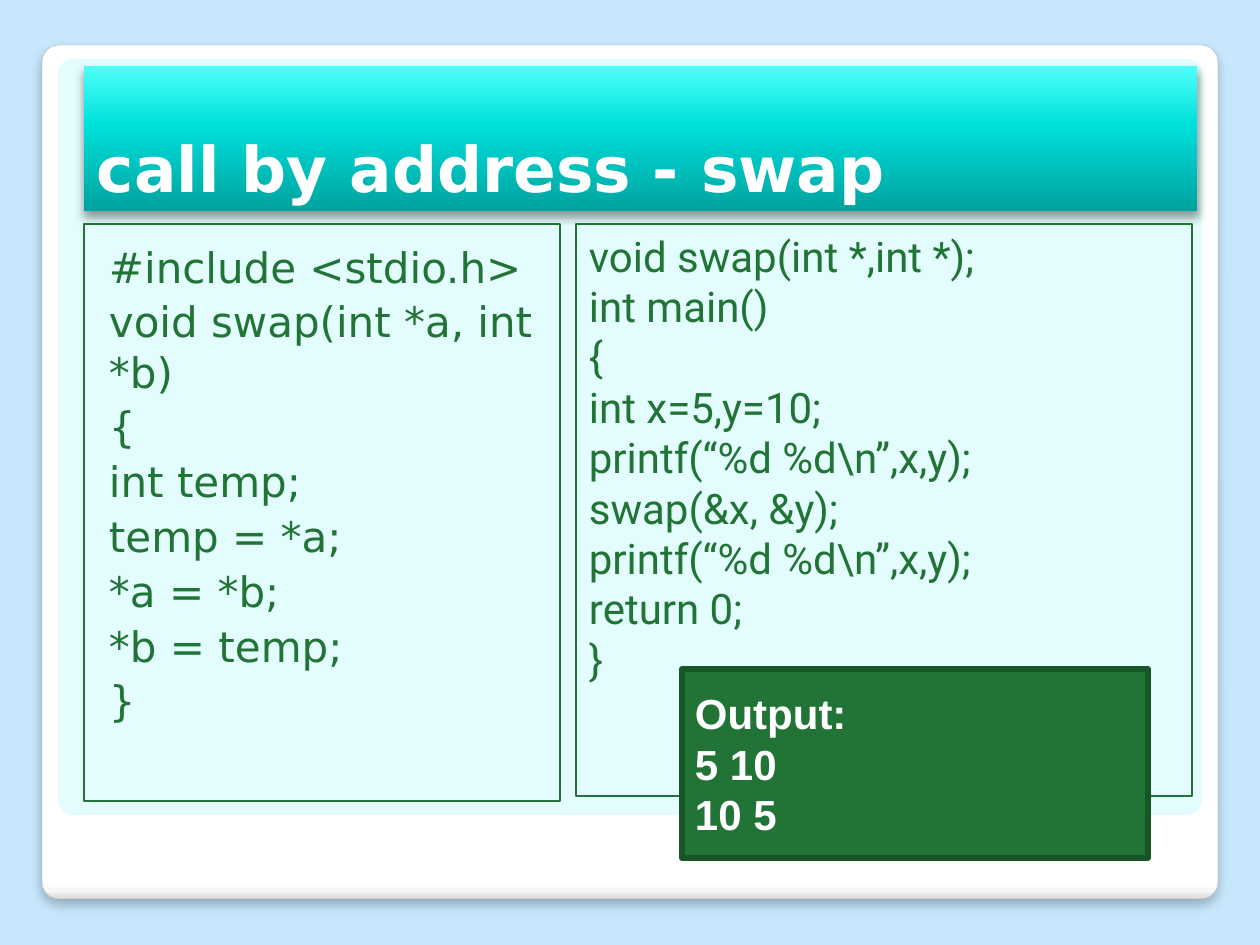
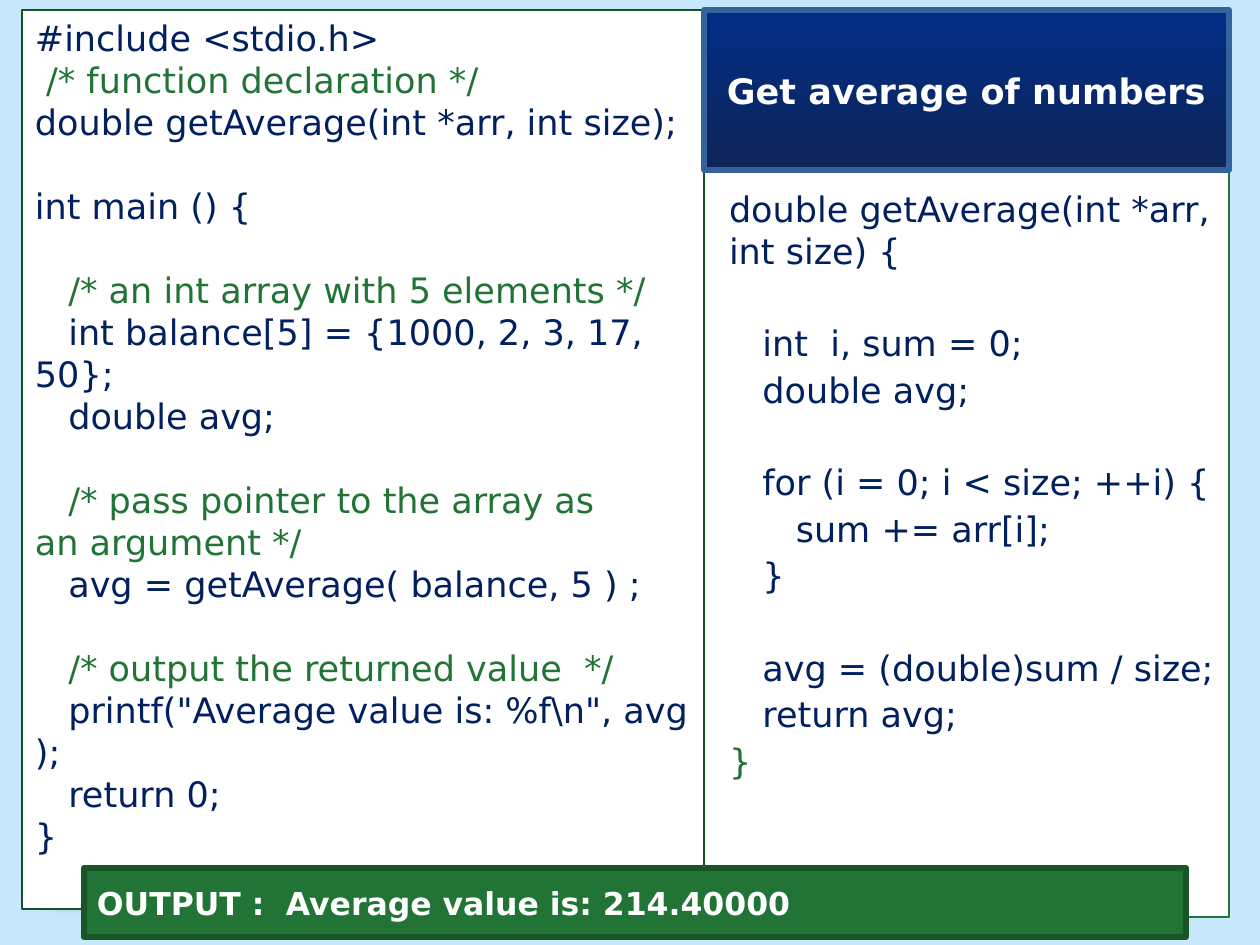
"""Build two slides on C pointers: swapping by address and averaging an array."""
from dataclasses import dataclass

from lxml.etree import SubElement
from pptx import Presentation
from pptx.dml.color import RGBColor
from pptx.enum.shapes import MSO_SHAPE as Preset
from pptx.enum.text import MSO_ANCHOR as Anchor, MSO_AUTO_SIZE as AutoSize, PP_ALIGN as Align
from pptx.oxml.ns import qn
from pptx.util import Inches, Pt


@dataclass(frozen=True)
class Theme:
    sky: str = "C6E7FC"
    white: str = "FFFFFF"
    aqua: str = "C9FAFC"
    card_edge: str = "A4A4A4"
    green: str = "217435"
    dark_green: str = "155324"
    output_edge: str = "185627"
    navy: str = "002060"
    heading_edge: str = "33629C"
    card_fade: tuple = ((0, "FFFFFF"), (98, "FFFFFF"), (99, "F7F7F7"), (100, "DADADA"))
    band_fade: tuple = ((0, "4EFFF9"), (40, "00E0DB"), (100, "00A29E"))
    heading_fade: tuple = ((0, "012D86"), (100, "0E2557"))
    sans: str = "DejaVu Sans"
    roboto: str = "Roboto"
    arial: str = "Arial"
    title_size: int = 36
    code_size: int = 24
    small_size: int = 20
    result_size: int = 18
    thin: float = 0.75
    thick: float = 3.35


theme = Theme()
PX = Inches(1) / 126


def style(shape, box, fill=None, line=None, width=theme.thin):
    """Place a shape and give it a plain or top-down gradient fill and an outline."""
    shape.left, shape.top, shape.width, shape.height = (round(v * PX) for v in box)
    shape.shadow.inherit = False
    if fill is None:
        shape.fill.background()
    elif isinstance(fill, str):
        shape.fill.solid()
        shape.fill.fore_color.rgb = RGBColor.from_string(fill)
    else:
        shape.fill.gradient()
        shape.fill.gradient_angle = 270
        stops = shape.element.spPr.find(".//" + qn("a:gsLst"))
        for old in list(stops):
            stops.remove(old)
        for position, colour in fill:
            stop = SubElement(stops, qn("a:gs"), pos=str(position * 1000))
            SubElement(stop, qn("a:srgbClr"), val=colour)
    if line:
        shape.line.color.rgb = RGBColor.from_string(line)
        shape.line.width = Pt(width)
    else:
        shape.line.fill.background()
    return shape


def write(shape, blocks, font, size, colour, bold=False, anchor=Anchor.TOP,
          align=Align.LEFT, insets=(13, 6, 13, 6), before=0, gap=0):
    """Write blocks of lines, with a gap above each block but the first."""
    frame = shape.text_frame
    frame.word_wrap = True
    frame.auto_size = AutoSize.NONE
    frame.vertical_anchor = anchor
    frame.margin_left, frame.margin_top, frame.margin_right, frame.margin_bottom = (
        round(v * PX) for v in insets)
    for b, block in enumerate(blocks):
        for n, text in enumerate(block):
            first = b == n == 0
            paragraph = frame.paragraphs[0] if first else frame.add_paragraph()
            paragraph.alignment = align
            paragraph.line_spacing = 1.0
            paragraph.space_before = Pt(0 if first else before if n else before + gap)
            paragraph.space_after = Pt(0)
            properties = paragraph._p.get_or_add_pPr()
            properties.set("marL", "0")
            properties.set("indent", "0")
            SubElement(properties, qn("a:buNone"))
            run = paragraph.add_run()
            run.text = text
            run.font.name, run.font.size, run.font.bold = font, Pt(size), bold
            comment = text.strip().startswith("/*") or text.endswith("*/")
            run.font.color.rgb = RGBColor.from_string(theme.green if comment else colour)


deck = Presentation()
deck.slide_width, deck.slide_height = round(1260 * PX), round(945 * PX)
layout = deck.slide_layouts[1]
layout.background.fill.solid()
layout.background.fill.fore_color.rgb = RGBColor.from_string(theme.sky)
swap_slide = deck.slides.add_slide(layout)
average_slide = deck.slides.add_slide(layout)

backdrop = [
    (Preset.ROUNDED_RECTANGLE, (42, 45, 1176, 854), theme.card_fade, theme.card_edge, (25, 6, 4)),
    (Preset.ROUNDED_RECTANGLE, (58, 59, 1144, 756), theme.aqua, None, None),
    (Preset.RECTANGLE, (84, 66, 1113, 145), theme.band_fade, None, (40, 5.2, 3)),
]
for index, (preset, box, fill, edge, shadow) in enumerate(backdrop):
    layer = style(swap_slide.shapes.add_shape(preset, 0, 0, 0, 0), box, fill, edge, 0.16)
    if preset == Preset.ROUNDED_RECTANGLE:
        layer.adjustments[0] = 0.02
    if fill == theme.aqua:
        tint = layer.element.spPr.find(qn("a:solidFill")).find(qn("a:srgbClr"))
        SubElement(tint, qn("a:alpha"), val="50000")
    if shadow:
        opacity, blur, distance = shadow
        effects = layer.element.spPr.find(qn("a:effectLst"))
        cast = SubElement(effects, qn("a:outerShdw"), blurRad=str(Pt(blur)),
                          dist=str(Pt(distance)), dir="5400000", rotWithShape="0")
        black = SubElement(cast, qn("a:srgbClr"), val="000000")
        SubElement(black, qn("a:alpha"), val=str(opacity * 1000))
    layer.element.nvSpPr.cNvPr.set("id", str(20 + index))
    layout.shapes.element.insert(2 + index, layer.element)

body_insets = (25, 17, 12, 6)

swap_title = style(swap_slide.shapes.title, (84, 66, 1128, 145))
write(swap_title, [["call by address - swap"]], theme.sans, theme.title_size, theme.white,
      bold=True, anchor=Anchor.BOTTOM)

swap_function = style(swap_slide.placeholders[1], (84, 224, 476, 577), line=theme.green)
write(swap_function, [[
    "#include <stdio.h>",
    "void swap(int *a, int *b)",
    "{",
    "int temp;",
    "temp = *a;",
    "*a = *b;",
    "*b = temp;",
    "}",
]], theme.sans, theme.code_size, theme.green, insets=body_insets, before=2.5)

swap_main = style(swap_slide.shapes.add_shape(Preset.RECTANGLE, 0, 0, 0, 0),
                  (576, 224, 616, 572), line=theme.green)
write(swap_main, [[
    "void swap(int *,int *);",
    "int main()",
    "{",
    "int x=5,y=10;",
    "printf(“%d %d\\n”,x,y);",
    "swap(&x, &y);",
    "printf(“%d %d\\n”,x,y);",
    "return 0;",
    "}",
]], theme.roboto, theme.code_size, theme.green)

swap_output = style(swap_slide.shapes.add_shape(Preset.RECTANGLE, 0, 0, 0, 0),
                    (682, 669, 466, 189), theme.green, theme.output_edge, theme.thick)
write(swap_output, [["Output:", "5 10", "10 5"]], theme.arial, theme.code_size, theme.white,
      bold=True, anchor=Anchor.MIDDLE)

average_function = style(average_slide.placeholders[1], (704, 170, 525, 747),
                         theme.white, theme.green)
write(average_function, [
    ["double getAverage(int *arr, int size) {"],
    ["   int  i, sum = 0;", "   double avg;"],
    ["   for (i = 0; i < size; ++i) {", "      sum += arr[i];", "   }"],
    ["   avg = (double)sum / size;", "   return avg;", "}"],
], theme.sans, theme.small_size, theme.navy, insets=body_insets, before=2.5, gap=26.5)
closing_brace = average_function.text_frame.paragraphs[-1].runs[0]
closing_brace.font.color.rgb = RGBColor.from_string(theme.green)

average_main = style(average_slide.shapes.add_shape(Preset.RECTANGLE, 0, 0, 0, 0),
                     (22, 10, 682, 899), theme.white, theme.dark_green, 1)
write(average_main, [
    ["#include <stdio.h>", " /* function declaration */",
     "double getAverage(int *arr, int size);"],
    ["int main () {"],
    ["   /* an int array with 5 elements */",
     "   int balance[5] = {1000, 2, 3, 17, 50};",
     "   double avg;"],
    ["   /* pass pointer to the array as", "an argument */",
     "   avg = getAverage( balance, 5 ) ;"],
    ["   /* output the returned value  */",
     "   printf(\"Average value is: %f\\n\", avg );",
     "   return 0;", "}"],
], theme.sans, theme.small_size, theme.navy, gap=24)

average_title = style(average_slide.shapes.title, (704, 10, 525, 160),
                      theme.heading_fade, theme.heading_edge, theme.thick)
write(average_title, [["Get average of numbers"]], theme.sans, theme.small_size, theme.white,
      bold=True, anchor=Anchor.MIDDLE, align=Align.CENTER)
average_slide.shapes.element.append(average_title.element)

average_output = style(average_slide.shapes.add_shape(Preset.RECTANGLE, 0, 0, 0, 0),
                       (84, 868, 1102, 69), theme.green, theme.output_edge, theme.thick)
write(average_output, [["OUTPUT :\tAverage value is: 214.40000"]], theme.sans,
      theme.result_size, theme.white, bold=True, anchor=Anchor.MIDDLE)
result_properties = average_output.text_frame.paragraphs[0]._p.get_or_add_pPr()
result_tabs = SubElement(result_properties, qn("a:tabLst"))
SubElement(result_tabs, qn("a:tab"), pos=str(round(378 * PX)), algn="l")

deck.save("out.pptx")
